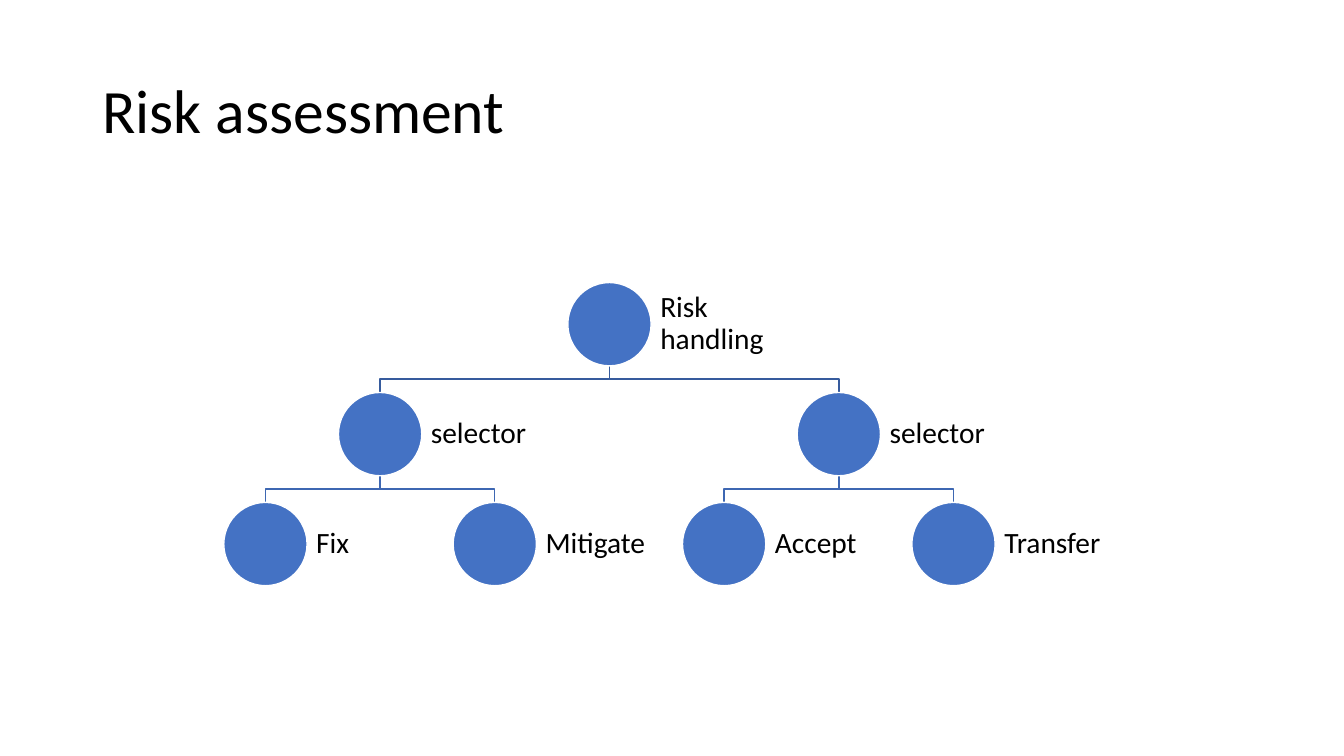
from dataclasses import dataclass

from pptx import Presentation
from pptx import util as u
from pptx.dml.color import RGBColor
from pptx.enum import shapes, text


@dataclass(frozen=True)
class Theme:
    font: str = "Calibri"
    ink: str = "000000"
    node: str = "4472C4"
    edge: str = "FFFFFF"
    links: tuple = ("365B9D", "3E67B2")
    head: int = 44
    label: int = 21


THEME = Theme()
DISC = u.Cm(2.1)
STEP = u.Cm(2.77)
TREE = ("Risk handling", [
    ("selector", [("Fix", []), ("Mitigate", [])]),
    ("selector", [("Accept", []), ("Transfer", [])]),
])


def color(code):
    return RGBColor.from_string(code)


def add_text(slide, box, words, size, pad_x, pad_y):
    frame = slide.shapes.add_textbox(*box).text_frame
    frame.word_wrap = True
    frame.vertical_anchor = text.MSO_ANCHOR.MIDDLE
    frame.margin_left = frame.margin_right = pad_x
    frame.margin_top = frame.margin_bottom = pad_y
    para = frame.paragraphs[0]
    para.text = words
    para.line_spacing = 0.9
    para.font.name = THEME.font
    para.font.size = u.Pt(size)
    para.font.color.rgb = color(THEME.ink)


def add_title(slide, box, words):
    add_text(slide, box, words, THEME.head, u.Cm(0.25), u.Cm(0.13))


def add_link(slide, start, end, level):
    (x1, y1), (x2, y2) = start, end
    mid = (y1 + y2) // 2
    path = slide.shapes.build_freeform(x1, y1)
    path.add_line_segments([(x1, mid), (x2, mid), (x2, y2)], close=False)
    link = path.convert_to_shape()
    link.shadow.inherit = False
    link.fill.background()
    link.line.color.rgb = color(THEME.links[level])
    link.line.width = u.Pt(1)


def add_node(slide, x, y, words):
    left = x - DISC // 2
    disc = slide.shapes.add_shape(shapes.MSO_SHAPE.OVAL, left, y, DISC, DISC)
    disc.shadow.inherit = False
    disc.fill.solid()
    disc.fill.fore_color.rgb = color(THEME.node)
    disc.line.color.rgb = color(THEME.edge)
    disc.line.width = u.Pt(1)
    box = (left + DISC, y, u.Cm(3.15), DISC)
    add_text(slide, box, words, THEME.label, u.Cm(0.23), u.Cm(0.23))


def add_tree(slide, box, tree, level=0):
    left, top, width = box
    words, kids = tree
    x = left + width // 2
    for i, kid in enumerate(kids):
        part = width // len(kids)
        start = left + i * part
        end = (start + part // 2, top + STEP)
        add_link(slide, (x, top + DISC), end, level)
        add_tree(slide, (start, top + STEP, part), kid, level + 1)
    add_node(slide, x, top, words)


def main():
    deck = Presentation()
    deck.slide_width = u.Cm(33.87)
    deck.slide_height = u.Cm(19.05)
    slide = deck.slides.add_slide(deck.slide_layouts[6])
    title = (u.Cm(2.33), u.Cm(1.01), u.Cm(29.21), u.Cm(3.68))
    add_title(slide, title, "Risk assessment")
    add_tree(slide, (u.Cm(3.8), u.Cm(7.12), u.Cm(23.12)), TREE)
    deck.save("out.pptx")


if __name__ == "__main__":
    main()
